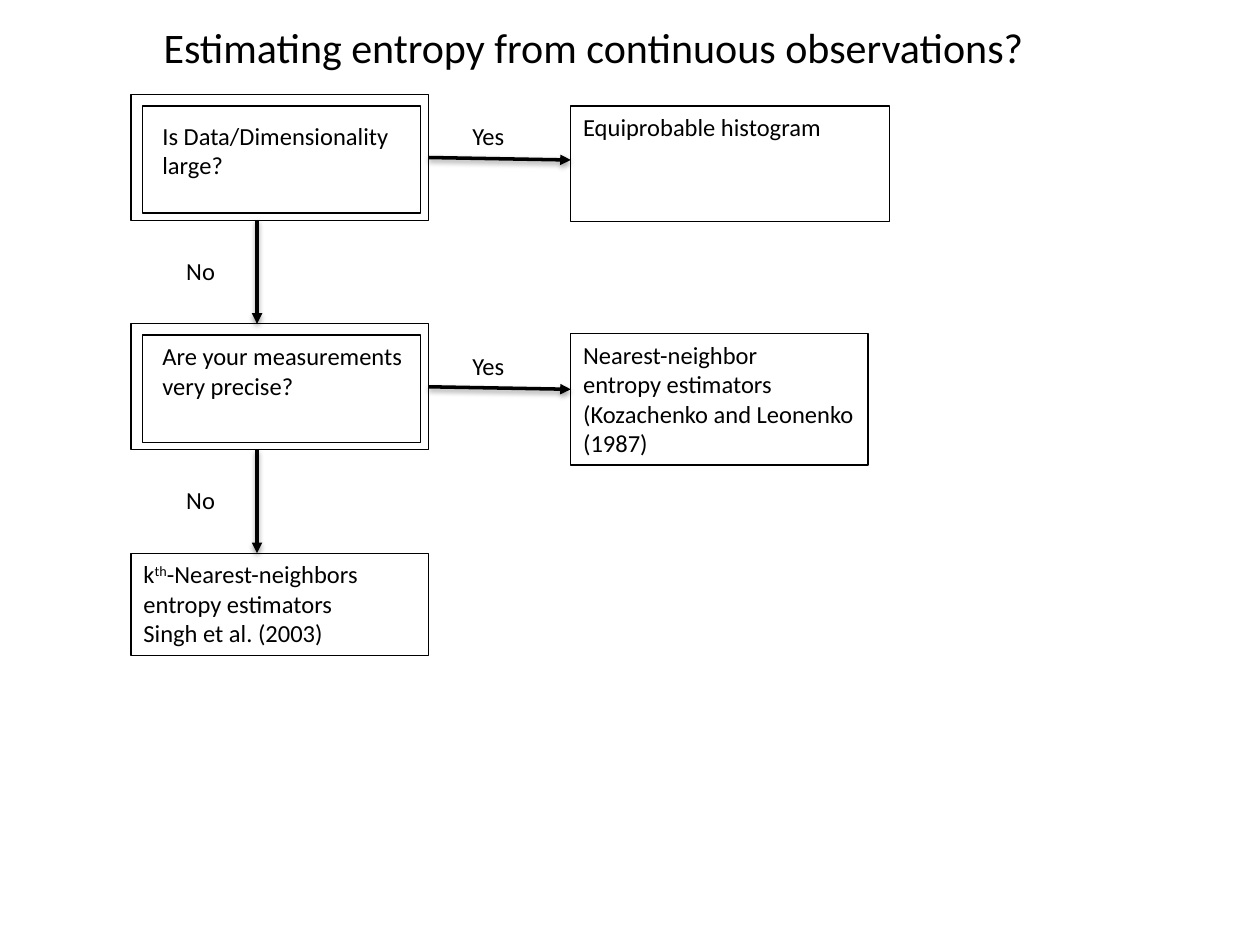
from lxml.etree import SubElement
from pptx import Presentation
from pptx.dml.color import RGBColor
from pptx.enum.shapes import MSO_CONNECTOR, MSO_SHAPE
from pptx.enum.text import MSO_ANCHOR, PP_ALIGN
from pptx.oxml import parse_xml
from pptx.oxml.ns import nsdecls, qn
from pptx.util import Inches, Pt

COLORS = {"ink": "000000", "background": "FFFFFF"}
TITLE_FONT = {"name": "Calibri", "size": Pt(24)}
BODY_FONT = {"name": "Calibri", "size": Pt(14)}
SHADOW = (
    f'<a:effectLst {nsdecls("a")}>'
    '<a:outerShdw blurRad="40000" dist="20000" dir="5400000" rotWithShape="0">'
    f'<a:srgbClr val="{COLORS["ink"]}"><a:alpha val="38000"/></a:srgbClr>'
    "</a:outerShdw></a:effectLst>"
)


def add_text(page, area, lines, font=BODY_FONT, align=PP_ALIGN.LEFT, anchor=MSO_ANCHOR.TOP):
    box = page.shapes.add_textbox(*map(Inches, area))
    frame = box.text_frame
    frame.word_wrap = True
    frame.vertical_anchor = anchor
    for index, line in enumerate(lines):
        para = frame.add_paragraph() if index else frame.paragraphs[0]
        para.alignment = align
        pieces = [(line, False)] if isinstance(line, str) else line
        for text, raised in pieces:
            span = para.add_run()
            span.text = text
            for name, value in font.items():
                setattr(span.font, name, value)
            span.font.color.rgb = RGBColor.from_string(COLORS["ink"])
            if raised:
                span.font._element.set("baseline", "30000")


def add_frame(page, area):
    box = page.shapes.add_shape(MSO_SHAPE.RECTANGLE, *map(Inches, area))
    box.shadow.inherit = False
    box.fill.background()
    box.line.color.rgb = RGBColor.from_string(COLORS["ink"])
    box.line.width = Pt(0.75)
    return box


def add_arrow(page, start, end, source=None):
    arrow = page.shapes.add_connector(MSO_CONNECTOR.STRAIGHT, *map(Inches, start + end))
    if source is not None:
        arrow.begin_connect(source, 3)
    arrow.line.color.rgb = RGBColor.from_string(COLORS["ink"])
    arrow.line.width = Pt(2)
    SubElement(arrow.line._get_or_add_ln(), qn("a:tailEnd"), type="triangle")
    arrow._element.spPr.append(parse_xml(SHADOW))


def add_title(page, area, text):
    add_text(page, area, [text], TITLE_FONT, PP_ALIGN.CENTER, MSO_ANCHOR.MIDDLE)


def add_question(page, area, text, text_offset):
    left, top, width, height = area
    add_text(page, (left + 0.15, top + text_offset, 2.21, 0.57), [text])
    add_frame(page, (left + 0.09, top + 0.09, width - 0.15, height - 0.15))
    return add_frame(page, area)


def add_answer(page, area, lines):
    left, top, width, height = area
    add_frame(page, area)
    add_text(page, (left, top, 2.53, height), lines)


def add_yes_branch(page, question, start, end, label_top):
    add_arrow(page, start, end, question)
    add_text(page, (3.65, label_top, 0.56, 0.34), ["Yes"])


def add_no_branch(page, top, bottom, label_top):
    add_arrow(page, (2.04, top), (2.04, bottom))
    add_text(page, (1.38, label_top, 0.56, 0.34), ["No"])


def add_flowchart(page, left, top, answer_left):
    second_top = top + 1.82
    third_top = second_top + 1.82
    size_question = add_question(
        page, (left, top, 2.36, 1), "Is Data/Dimensionality large?", 0.16)
    precision_question = add_question(
        page, (left, second_top, 2.36, 1), "Are your measurements very precise?", 0.09)

    add_answer(page, (answer_left, top + 0.09, 2.53, 0.92), ["Equiprobable histogram"])
    add_answer(page, (answer_left, second_top + 0.08, 2.36, 1.04), [
        "Nearest-neighbor",
        "entropy estimators",
        "(Kozachenko and Leonenko (1987)",
    ])
    add_answer(page, (left, third_top, 2.36, 0.81), [
        [("k", False), ("th", True), ("-Nearest-neighbors", False)],
        "entropy estimators",
        "Singh et al. (2003)",
    ])

    for question, row_top, label_offset in (
        (size_question, top, 0.16),
        (precision_question, second_top, 0.17),
    ):
        add_yes_branch(page, question, (left + 2.36, row_top + 0.5),
                       (answer_left, row_top + 0.52), row_top + label_offset)
        add_no_branch(page, row_top + 1, row_top + 1.82, row_top + 1.23)


def main():
    deck = Presentation()
    deck.slide_width = Inches(10)
    deck.slide_height = Inches(7.5)
    page = deck.slides.add_slide(deck.slide_layouts[6])
    page.background.fill.solid()
    page.background.fill.fore_color.rgb = RGBColor.from_string(COLORS["background"])
    add_title(page, (0.21, 0.05, 9, 0.64), "Estimating entropy from continuous observations?")
    add_flowchart(page, 1.04, 0.75, 4.53)
    deck.save("out.pptx")


if __name__ == "__main__":
    main()
